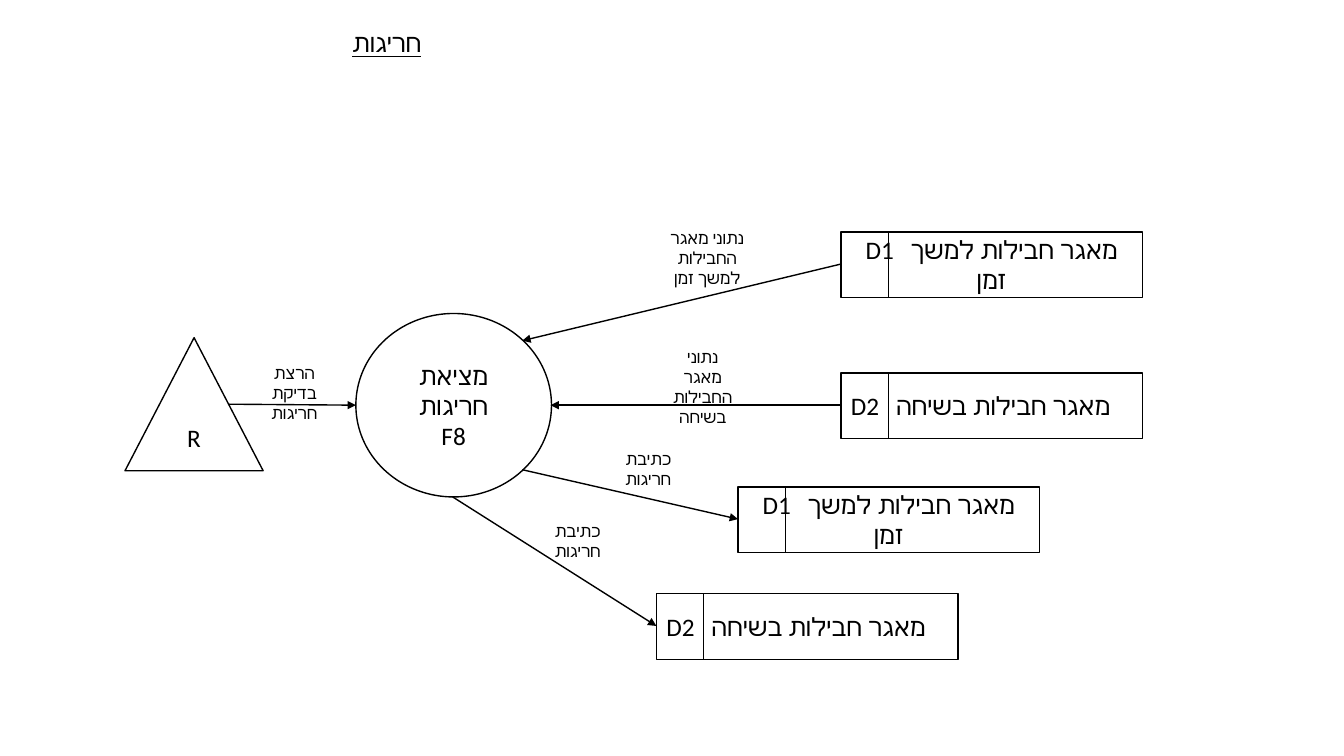
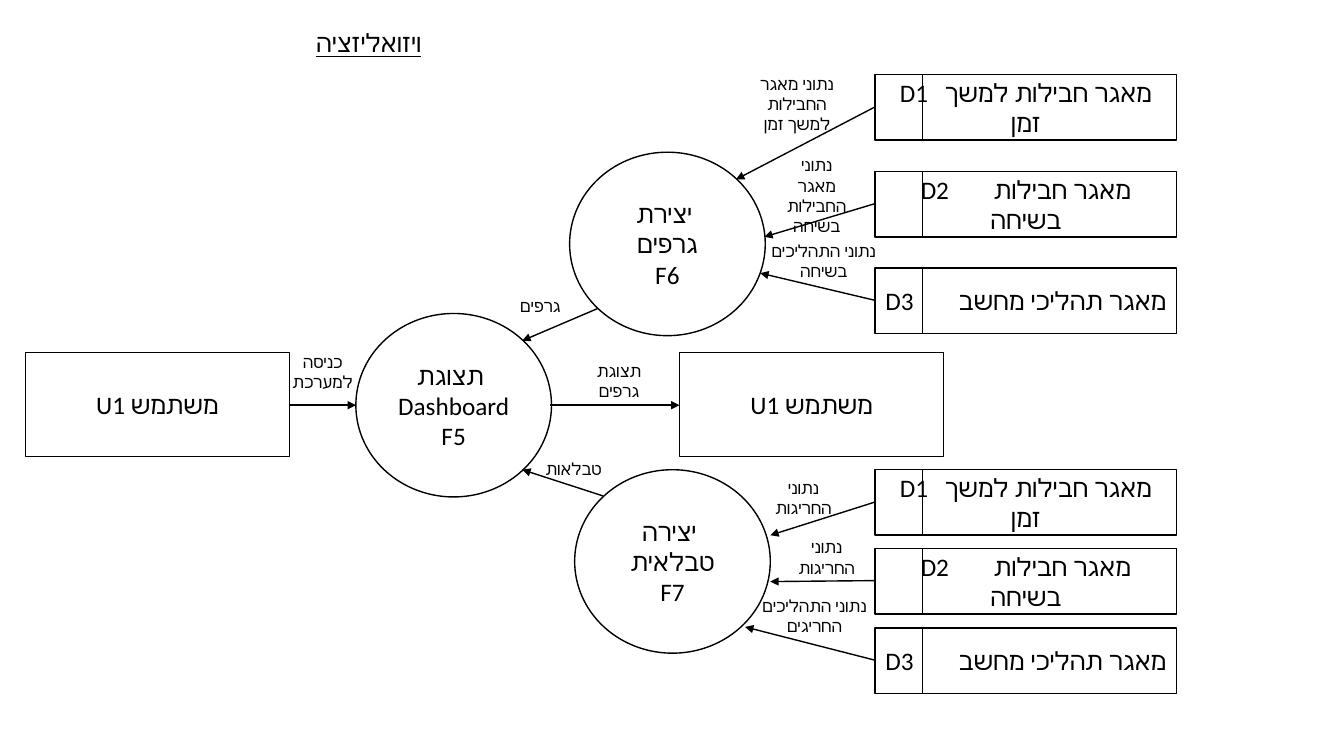
"""Builds two data flow diagrams in Hebrew."""
from lxml import etree
from pptx import Presentation
from pptx import util as u
from pptx.dml.color import RGBColor
from pptx.enum import shapes, text
from pptx.oxml.ns import qn

PX = 9144
HUES = {"ink": "000000", "paper": "FFFFFF"}
KINDS = shapes.MSO_SHAPE
ALIGN = text.PP_ALIGN
BODY = {"name": "Calibri", "size": u.Pt(18)}
NOTE = {"name": "Calibri", "size": u.Pt(12)}
HEAD = {"name": "Calibri", "size": u.Pt(18), "underline": True}
DISC_W, DISC_H = 194, 182
STORE_W, STORE_H, CODE_W = 299, 65, 47

LONG = "מאגר חבילות למשך זמן"
TALK = "מאגר חבילות בשיחה"
TASK = "מאגר תהליכי מחשב "
FROM_LONG = "נתוני מאגר החבילות למשך זמן"
FROM_TALK = "נתוני מאגר החבילות בשיחה"
USER = "U1 משתמש"
WRITE = "כתיבת חריגות"
ODD = "נתוני החריגות"
NARROW, WIDE = 8, 28


def px(*vals):
    """Turn px lengths into EMU."""
    return [u.Emu(val * PX) for val in vals]


def hue(name):
    """Return a named colour."""
    return RGBColor.from_string(HUES[name])


def style(font, form):
    """Apply format values and the ink colour to a font."""
    for key, val in form.items():
        setattr(font, key, val)
    font.color.rgb = hue("ink")


def write(frame, lines, form, align=ALIGN.CENTER):
    """Fill a text frame with one paragraph per line."""
    frame.word_wrap = True
    for num, line in enumerate(lines):
        para = frame.add_paragraph() if num else frame.paragraphs[0]
        para.alignment = align
        run = para.add_run()
        run.text = line
        style(run.font, form)


def title(slide, words):
    """Place and format the slide title."""
    head = slide.shapes.title
    head.left, head.top, head.width, head.height = px(72, 22, 356, 40)
    frame = head.text_frame
    frame.auto_size = text.MSO_AUTO_SIZE.NONE
    frame.vertical_anchor = text.MSO_ANCHOR.TOP
    write(frame, [words], HEAD, ALIGN.RIGHT)


def box(slide, kind, left, top, width, height, lines=()):
    """Add an outlined shape with centred text."""
    shape = slide.shapes.add_shape(kind, *px(left, top, width, height))
    shape.shadow.inherit = False
    shape.fill.solid()
    shape.fill.fore_color.rgb = hue("paper")
    shape.line.color.rgb = hue("ink")
    shape.line.width = u.Pt(1)
    write(shape.text_frame, lines, BODY)
    return shape


def disc(slide, left, top, *lines):
    """Add a process circle."""
    box(slide, KINDS.OVAL, left, top, DISC_W, DISC_H, lines)


def line(slide, start, end, width=1.0):
    """Add a plain straight line."""
    link = slide.shapes.add_connector(
        shapes.MSO_CONNECTOR.STRAIGHT, *px(*start, *end))
    link.line.color.rgb = hue("ink")
    link.line.width = u.Pt(width)
    etree.SubElement(link._element.spPr, qn("a:effectLst"))
    return link


def arrow(slide, start, end):
    """Add a line with a head at its end."""
    stroke = line(slide, start, end).line._get_or_add_ln()
    etree.SubElement(stroke, qn("a:tailEnd"), type="triangle")


def note(slide, left, top, rows, words, width=92):
    """Add a small flow label."""
    label = slide.shapes.add_textbox(*px(left, top, width, 10 + 20 * rows))
    write(label.text_frame, [words], NOTE)
    label.text_frame.auto_size = text.MSO_AUTO_SIZE.SHAPE_TO_FIT_TEXT


def store(slide, left, top, code, name, gap=NARROW, side=None):
    """Add a data store and return the middle of its left edge."""
    shape = box(slide, KINDS.RECTANGLE, left, top, STORE_W, STORE_H,
                [code])
    frame = shape.text_frame
    if side:
        frame.margin_left, frame.margin_right = px(*side)
    for part in (" ", name):
        run = frame.paragraphs[0].add_run()
        run.text = part
        style(run.font, BODY)
        if part == " ":
            run._r.get_or_add_rPr().set("spc", str(gap * 100))
    edge = left + CODE_W
    line(slide, (edge, top + STORE_H), (edge, top), 0.5)
    return left, top + STORE_H // 2


def odd(slide):
    """Draw the exceptions diagram."""
    title(slide, "חריגות")
    disc(slide, 353, 311, "מציאת חריגות", "F8")
    box(slide, KINDS.ISOSCELES_TRIANGLE, 124, 335, 137, 132, ["R"])
    arrow(slide, (227, 401), (353, 402))
    side = (0, 22)
    arrow(slide, store(slide, 834, 230, "D1", LONG), (518, 338))
    arrow(slide, store(slide, 834, 370, "D2", TALK, side=side), (546, 402))
    arrow(slide, (518, 466), store(slide, 732, 483, "D1", LONG))
    arrow(slide, (449, 493),
          store(slide, 651, 589, "D2", TALK, side=side))
    note(slide, 246, 355, 3, "הרצת בדיקת חריגות")
    note(slide, 651, 339, 3, FROM_TALK)
    note(slide, 651, 221, 3, FROM_LONG, 101)
    note(slide, 597, 440, 2, WRITE)
    note(slide, 527, 512, 2, WRITE)


def view(slide):
    """Draw the visualisation diagram."""
    title(slide, "ויזואליזציה")
    disc(slide, 353, 311, "תצוגת ", "Dashboard", "F5")
    disc(slide, 565, 151, "יצירת ", "גרפים", "F6")
    disc(slide, 570, 466, "יצירה ", "טבלאית", "F7")
    for left in (25, 674):
        box(slide, KINDS.RECTANGLE, left, 350, 262, 103, [USER])
    kinds = [("D1", LONG, NARROW), ("D2", TALK, WIDE), ("D3", TASK, WIDE)]
    banks = [(74, 96, [(730, 178), (758, 235), (754, 271)]),
             (466, 78.5, [(764, 531), (764, 577), (739, 622)])]
    for top, step, tips in banks:
        for num, (kind, tip) in enumerate(zip(kinds, tips)):
            arrow(slide, store(slide, 868, int(top + num * step), *kind), tip)
    for start, end in [((287, 402), (353, 402)), ((546, 402), (674, 402)),
                       ((593, 306), (518, 338)), ((598, 492), (518, 466))]:
        arrow(slide, start, end)
    note(slide, 274, 344, 2, "כניסה למערכת")
    note(slide, 764, 149, 3, FROM_TALK)
    note(slide, 740, 68, 3, FROM_LONG, 101)
    note(slide, 739, 234, 2, "נתוני התהליכים בשיחה", 156)
    note(slide, 490, 288, 1, "גרפים")
    note(slide, 523, 450, 1, "טבלאות")
    note(slide, 568, 353, 2, "תצוגת גרפים")
    note(slide, 751, 469, 2, ODD)
    note(slide, 774, 528, 2, ODD)
    note(slide, 730, 586, 2, "נתוני התהליכים החריגים", 156)


def main():
    """Build and save the deck."""
    deck = Presentation()
    deck.slide_width, deck.slide_height = px(1333, 750)
    for draw in (odd, view):
        draw(deck.slides.add_slide(deck.slide_layouts[5]))
    deck.save("out.pptx")


if __name__ == "__main__":
    main()
